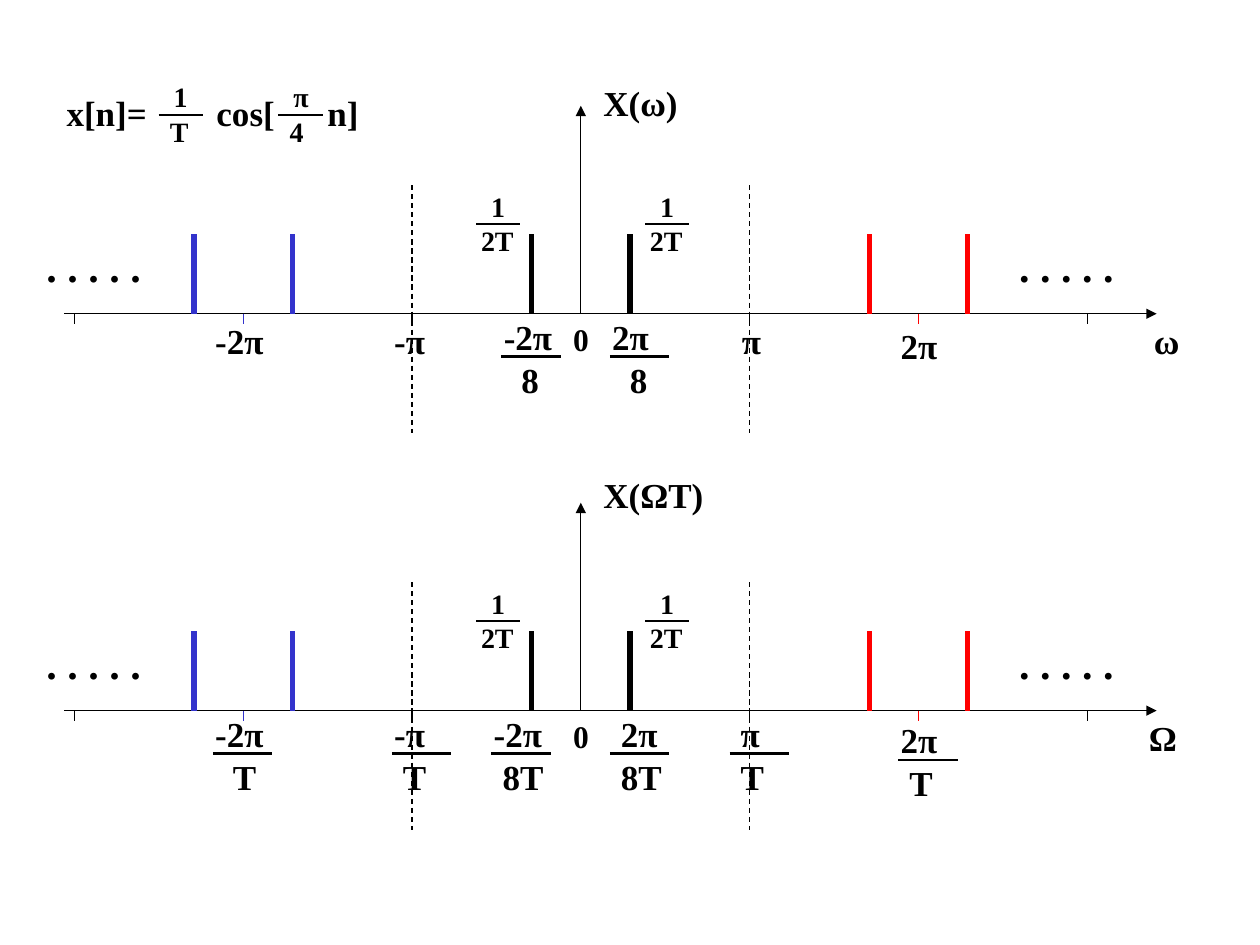
import pptx
import pptx.util
import pptx.dml.color
import pptx.enum.dml
import pptx.enum.shapes
import pptx.enum.text
import pptx.oxml.ns
import lxml.etree

Inches = pptx.util.Inches
Pt = pptx.util.Pt
qn = pptx.oxml.ns.qn

COLORS = {"black": "000000", "red": "FF0000", "blue": "3333CC"}
FONT = {"name": "Times New Roman", "bold": True}
FRAME = {"word_wrap": True, "auto_size": pptx.enum.text.MSO_AUTO_SIZE.SHAPE_TO_FIT_TEXT}
LARGE = {"size": 20, "height": 0.61, "gap": 12.5, "drop": 0, "bar_x": 0.08, "bar_w": 0.47}
SMALL = {"size": 16, "height": 0.54, "gap": 10, "drop": 0.02, "bar_x": 0.12, "bar_w": 0.35}

ORIGIN, PI, IMPULSE = 4.61, 1.34, 0.39
TOP_AXIS, BOTTOM_AXIS = 2.49, 5.64


def color(name):
    return pptx.dml.color.RGBColor.from_string(COLORS[name])


def add_line(s, x1, y1, x2, y2, width=0.75, ink="black", dash=False, arrow=False):
    sp = s.add_connector(pptx.enum.shapes.MSO_CONNECTOR.STRAIGHT,
                         Inches(x1), Inches(y1), Inches(x2), Inches(y2))
    sp.line.width = Pt(width)
    sp.line.color.rgb = color(ink)
    if dash:
        sp.line.dash_style = pptx.enum.dml.MSO_LINE.DASH
    if arrow:
        ln = sp.line._get_or_add_ln()
        lxml.etree.SubElement(ln, qn("a:tailEnd"), type="triangle")
    lxml.etree.SubElement(sp._element.spPr, qn("a:effectLst"))


def add_text(s, x, y, w, h, lines, size=20, gap=0, spacing=None, indents=(0, 0), tabs=()):
    tf = s.add_textbox(Inches(x), Inches(y), Inches(w), Inches(h)).text_frame
    for key, value in FRAME.items():
        setattr(tf, key, value)
    for i, text in enumerate(lines):
        p = tf.add_paragraph() if i else tf.paragraphs[0]
        pPr = p._p.get_or_add_pPr()
        pPr.set("marL", str(Inches(indents[i])))
        if tabs:
            stops = lxml.etree.SubElement(pPr, qn("a:tabLst"))
            for tab in tabs:
                lxml.etree.SubElement(stops, qn("a:tab"), pos=str(Inches(tab)), algn="l")
        if spacing:
            p.line_spacing = spacing
        if i:
            p.space_before = Pt(gap)
        r = p.add_run()
        r.text = text
        for key, value in FONT.items():
            setattr(r.font, key, value)
        r.font.size = Pt(size)
        r.font.color.rgb = color("black")


def add_fraction(s, x, y, num, den, indents=(0, 0.07), style=LARGE):
    grp = s.add_group_shape().shapes
    add_text(grp, x, y + style["drop"], 0.94, style["height"], [num, den],
             style["size"], style["gap"], 0.5, indents)
    bar = x + style["bar_x"]
    add_line(grp, bar, y + 0.23, bar + style["bar_w"], y + 0.23, 1.25)


def add_spectrum(s, axis, title, title_y, variable, variable_x):
    add_line(s, 0.51, axis, 9.18, axis, arrow=True)
    add_line(s, ORIGIN, axis, ORIGIN, axis - 1.65, arrow=True)
    ticks = {-2: "blue", 2: "red"}
    for k in range(-3, 4):
        if k:
            x = ORIGIN + k * PI
            add_line(s, x, axis, x, axis + 0.08, ink=ticks.get(k, "black"))
    for k in (-1, 1):
        x = ORIGIN + k * PI
        add_line(s, x, axis - 1.02, x, axis + 0.95, dash=True)
    for k, ink in ((-2, "blue"), (0, "black"), (2, "red")):
        for side in (-1, 1):
            x = ORIGIN + k * PI + side * IMPULSE
            add_line(s, x, axis - 0.63, x, axis, 3, ink)
    for x in (0.27, 7.99):
        add_text(s, x, axis - 0.63, 1.18, 0.5, [". . . . ."], 24)
    for x in (3.66, 5):
        add_fraction(s, x, axis - 0.94, "1", "2T", (0.14, 0.06), SMALL)
    add_text(s, 4.45, axis, 0.79, 0.4, ["0"], 18)
    add_text(s, 4.69, title_y, 2.44, 0.44, [title])
    add_text(s, variable_x, axis, 0.94, 0.44, [variable])


def add_formula(s):
    add_text(s, 0.43, 0.68, 3.07, 0.44, ["x[n]=\tcos[\tn]"], tabs=(1.19, 2.07))
    add_fraction(s, 1.14, 0.68, "1", "T", (0.14, 0.11), SMALL)
    add_fraction(s, 2.09, 0.68, "π", "4", (0.14, 0.11), SMALL)


def main():
    prs = pptx.Presentation()
    prs.slide_width, prs.slide_height = Inches(10), Inches(7.5)
    s = prs.slides.add_slide(prs.slide_layouts[6]).shapes

    add_formula(s)
    add_spectrum(s, TOP_AXIS, "X(ω)", 0.6, "ω", 9.06)
    add_spectrum(s, BOTTOM_AXIS, "X(ΩT)", 3.71, "Ω", 9.02)

    for x, dy, label in ((1.61, 0, "-2π"), (3.03, 0, "-π"), (5.79, 0, "π"), (7.05, 0.04, "2π")):
        add_text(s, x, TOP_AXIS + dy, 0.79, 0.44, [label])
    for x, num in ((3.9, "-2π"), (4.76, "2π")):
        add_fraction(s, x, TOP_AXIS + 0.11, num, "8", (0, 0.14))
    for x, dy, num, den, indents in (
        (1.61, 0.11, "-2π", "T", (0, 0.14)),
        (3.03, 0.11, "-π", "T", (0, 0.07)),
        (3.82, 0.11, "-2π", "8T", (0, 0.07)),
        (4.76, 0.11, "2π", "8T", (0.07, 0.07)),
        (5.71, 0.11, "π", "T", (0.07, 0.07)),
        (7.05, 0.16, "2π", "T", (0, 0.07)),
    ):
        add_fraction(s, x, BOTTOM_AXIS + dy, num, den, indents)

    prs.save("out.pptx")


if __name__ == "__main__":
    main()
